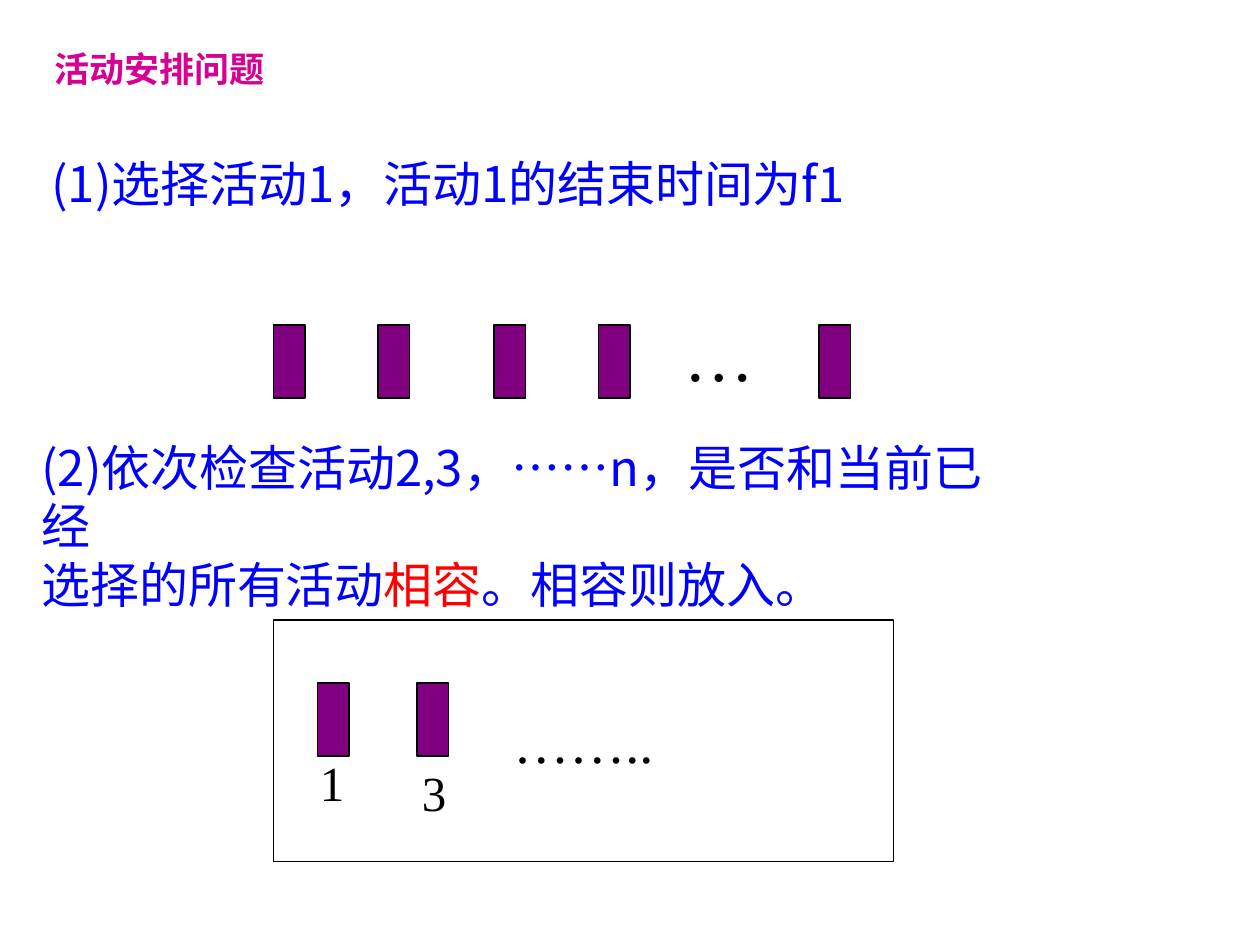
from pptx import Presentation
from pptx.dml.color import RGBColor
from pptx.enum.shapes import MSO_SHAPE
from pptx.enum.text import MSO_ANCHOR, MSO_AUTO_SIZE, PP_ALIGN
from pptx.oxml.ns import qn
from pptx.util import Inches, Pt

MAGENTA = RGBColor(0xD6, 0x00, 0x93)
PURPLE = RGBColor(0x80, 0x00, 0x80)
BLUE = RGBColor(0x00, 0x00, 0xFF)
RED = RGBColor(0xFF, 0x00, 0x00)
BLACK = RGBColor(0x00, 0x00, 0x00)
WHITE = RGBColor(0xFF, 0xFF, 0xFF)
CHINESE_FONT = "Noto Sans CJK SC"
LATIN_FONT = "Times New Roman"


def write_text(shape, paragraphs, font=LATIN_FONT, size=28, color=BLACK, bold=False,
               align=PP_ALIGN.LEFT, anchor=MSO_ANCHOR.TOP, wrap=False, line_height=None):
    """Fill a shape with paragraphs, each a list of (text, color or None) runs."""
    frame = shape.text_frame
    frame.word_wrap = wrap
    frame.auto_size = MSO_AUTO_SIZE.NONE
    frame.vertical_anchor = anchor
    for index, runs in enumerate(paragraphs):
        paragraph = frame.add_paragraph() if index else frame.paragraphs[0]
        paragraph.alignment = align
        if line_height:
            paragraph.line_spacing = Pt(line_height)
        for text, run_color in runs:
            run = paragraph.add_run()
            run.text = text
            run.font.name = font
            run.font.size = Pt(size)
            run.font.bold = bold
            run.font.color.rgb = run_color or color
            # East Asian characters take their typeface from a:ea
            east_asian = run.font._element.makeelement(qn("a:ea"), {"typeface": font})
            run.font._element.find(qn("a:latin")).addnext(east_asian)


def add_text(slide, left, top, width, height, paragraphs, **text_format):
    box = slide.shapes.add_textbox(Inches(left), Inches(top), Inches(width), Inches(height))
    write_text(box, paragraphs, **text_format)


def add_rectangle(slide, left, top, width, height, fill):
    shape = slide.shapes.add_shape(MSO_SHAPE.RECTANGLE, Inches(left), Inches(top),
                                   Inches(width), Inches(height))
    shape.shadow.inherit = False
    shape.fill.solid()
    shape.fill.fore_color.rgb = fill
    shape.line.color.rgb = BLACK
    shape.line.width = Pt(0.75)
    return shape


def add_activities(slide, lefts, top):
    for left in lefts:
        add_rectangle(slide, left, top, 0.25, 0.58, PURPLE)


def add_title(slide, text):
    title = slide.shapes.title
    title.left, title.top = Inches(0.33), Inches(0.33)
    title.width, title.height = Inches(1.88), Inches(0.43)
    write_text(title, [[(text, None)]], font=CHINESE_FONT, size=20, color=MAGENTA,
               bold=True, anchor=MSO_ANCHOR.MIDDLE)


def main():
    presentation = Presentation()
    presentation.slide_width, presentation.slide_height = Inches(10), Inches(7.5)
    slide = presentation.slides.add_slide(presentation.slide_layouts[5])
    add_title(slide, "活动安排问题")
    step_format = dict(font=CHINESE_FONT, color=BLUE, wrap=True, line_height=33.6)

    # Step 1: all the activities
    add_text(slide, 0.31, 1.17, 6.74, 0.57,
             [[("(1)选择活动1，活动1的结束时间为f1", None)]], **step_format)
    add_activities(slide, [2.17, 3, 3.92, 4.75, 6.5], 2.58)
    add_text(slide, 5.33, 2.42, 0.76, 0.77, [[("…", None)]], size=40)

    # Step 2: the compatible activities go into the frame
    add_text(slide, 0.23, 3.42, 8.02, 1.04, [
        [("(2)依次检查活动2,3，……n，是否和当前已经", None)],
        [("选择的所有活动", None), ("相容", RED), ("。相容则放入。", None)],
    ], **step_format)
    selected = add_rectangle(slide, 2.17, 4.92, 4.92, 1.92, WHITE)
    write_text(selected, [[("……..", None)]], size=32, align=PP_ALIGN.CENTER,
               anchor=MSO_ANCHOR.MIDDLE)
    add_activities(slide, [2.52, 3.31], 5.42)
    for number, left, top in [("1", 2.44, 5.92), ("3", 3.25, 6)]:
        add_text(slide, left, top, 0.4, 0.57, [[(number, None)]])

    presentation.save("out.pptx")


if __name__ == "__main__":
    main()
